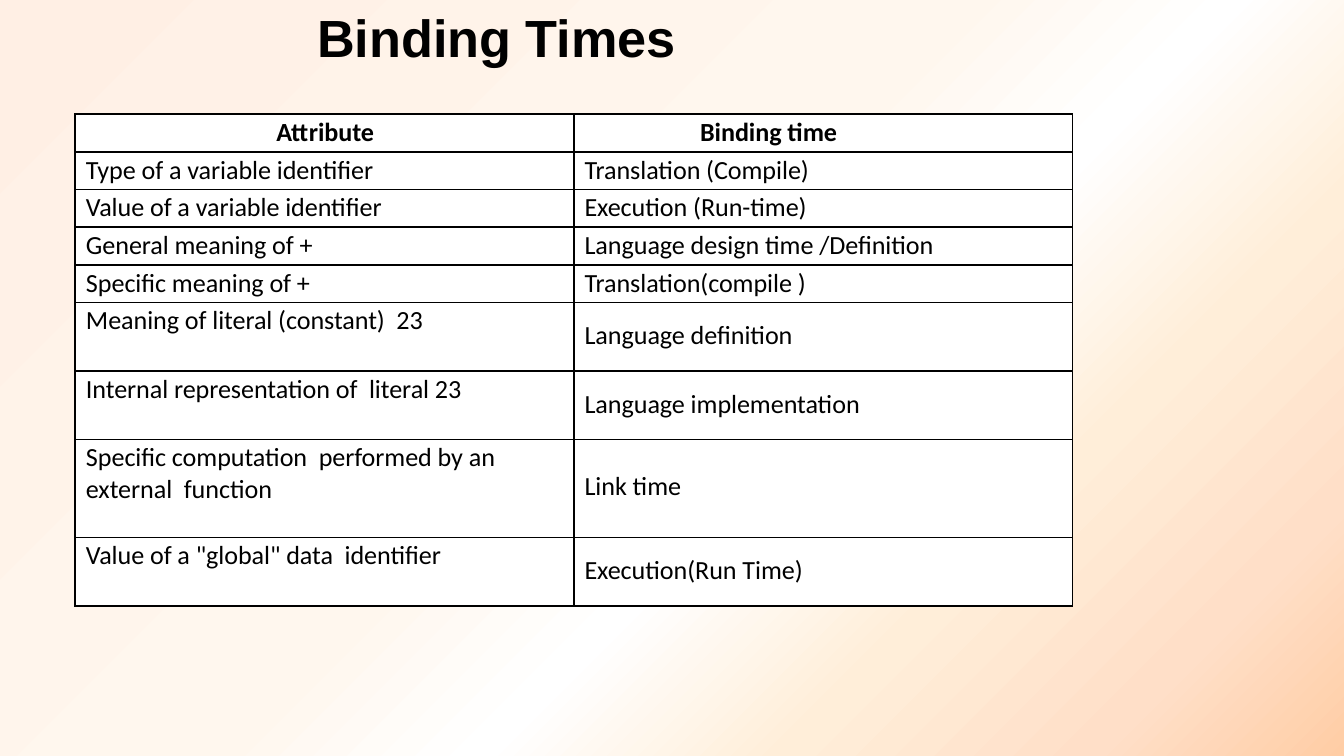
from lxml import etree
from pptx import Presentation
from pptx.dml.color import RGBColor
from pptx.enum.text import MSO_ANCHOR, PP_ALIGN
from pptx.oxml.ns import qn
from pptx.util import Inches, Pt

LEFT, CENTER = PP_ALIGN.LEFT, PP_ALIGN.CENTER
TOP = MSO_ANCHOR.TOP

COLORS = {"text": "000000", "cell": "FFFFFF", "border": "000000"}
BACKGROUND_STOPS = [(0, "FFCDA5"), (12, "FFDFC8"), (27, "FFEED9"),
                    (41, "FFFFFF"), (54, "FFF7EE"), (100, "FFEFE4")]
BACKGROUND_ANGLE = 135  # counter-clockwise: from bottom right to top left

TITLE = "Binding Times"
HEADER = ("Attribute", "Binding time")
# attribute, binding time, row height, top margin of the binding time
ROWS = [
    ("Type of a variable identifier", "Translation (Compile)", 0.28, 0.02),
    ("Value of a variable identifier", "Execution (Run-time)", 0.28, 0.02),
    ("General meaning of +", "Language design time /Definition", 0.28, 0.02),
    ("Specific meaning of +", "Translation(compile )", 0.28, 0.02),
    ("Meaning of literal (constant)  23", "Language definition", 0.51, 0.13),
    ("Internal representation of  literal 23", "Language implementation", 0.51, 0.13),
    ("Specific computation  performed by an external  function", "Link time", 0.73, 0.23),
    ("Value of a \"global\" data  identifier", "Execution(Run Time)", 0.51, 0.13),
]
HEADER_HEIGHT = 0.28
COLUMN_WIDTH = 3.71
TABLE_LEFT, TABLE_TOP = 0.56, 0.85
INDENT, HEADER_INDENT, TOP_MARGIN = 0.08, 0.94, 0.02
BORDER_WIDTH = 0.96


def write(tf, text, font="Calibri", size=14, bold=False, align=LEFT, spacing=-0.05):
    p = tf.paragraphs[0]
    p.alignment = align
    r = p.add_run()
    r.text = text
    r.font.name = font
    r.font.size = Pt(size)
    r.font.bold = bold
    r.font.color.rgb = RGBColor.from_string(COLORS["text"])
    r._r.get_or_add_rPr().set("spc", str(round(spacing * 100)))


def set_margins(box, left, top):
    box.margin_left, box.margin_top = Inches(left), Inches(top)
    box.margin_right = box.margin_bottom = 0


def paint_background(s):
    fill = s.background.fill
    fill.gradient()
    fill.gradient_angle = BACKGROUND_ANGLE
    stops = s._element.find(".//" + qn("a:gsLst"))
    for stop in list(stops):
        stops.remove(stop)
    for position, color in BACKGROUND_STOPS:
        stop = etree.SubElement(stops, qn("a:gs"), pos=str(position * 1000))
        etree.SubElement(stop, qn("a:srgbClr"), val=color)


def add_borders(cell):
    tc_pr = cell._tc.get_or_add_tcPr()
    for side in ("a:lnL", "a:lnR", "a:lnT", "a:lnB"):
        line = etree.SubElement(tc_pr, qn(side), w=str(Pt(BORDER_WIDTH)))
        fill = etree.SubElement(line, qn("a:solidFill"))
        etree.SubElement(fill, qn("a:srgbClr"), val=COLORS["border"])


def fill_cell(cell, text, left=INDENT, top=TOP_MARGIN, **text_format):
    add_borders(cell)
    cell.fill.solid()
    cell.fill.fore_color.rgb = RGBColor.from_string(COLORS["cell"])
    cell.vertical_anchor = TOP
    set_margins(cell, left, top)
    write(cell.text_frame, text, **text_format)


def add_title(s):
    tf = s.shapes.add_textbox(Inches(2.35), Inches(0.03), Inches(5.31), Inches(0.5)).text_frame
    tf.word_wrap = True
    tf.vertical_anchor = TOP
    set_margins(tf, 0.01, 0.01)
    write(tf, TITLE, font="Arial", size=28, bold=True, spacing=0)


def add_binding_table(s):
    heights = [HEADER_HEIGHT] + [row[2] for row in ROWS]
    table = s.shapes.add_table(len(heights), len(HEADER), Inches(TABLE_LEFT), Inches(TABLE_TOP),
                               Inches(COLUMN_WIDTH * len(HEADER)), Inches(sum(heights))).table
    table.first_row = table.horz_banding = False
    for column in table.columns:
        column.width = Inches(COLUMN_WIDTH)
    for row, height in zip(table.rows, heights):
        row.height = Inches(height)

    fill_cell(table.cell(0, 0), HEADER[0], left=0.01, bold=True, align=CENTER)
    fill_cell(table.cell(0, 1), HEADER[1], left=HEADER_INDENT, bold=True)
    for i, (attribute, time, _, time_top) in enumerate(ROWS, start=1):
        fill_cell(table.cell(i, 0), attribute)
        fill_cell(table.cell(i, 1), time, top=time_top)


def main():
    prs = Presentation()
    prs.slide_width = Inches(10)
    prs.slide_height = prs.slide_width * 9 // 16
    s = prs.slides.add_slide(prs.slide_layouts[6])
    paint_background(s)
    add_title(s)
    add_binding_table(s)
    prs.save("out.pptx")


if __name__ == "__main__":
    main()
